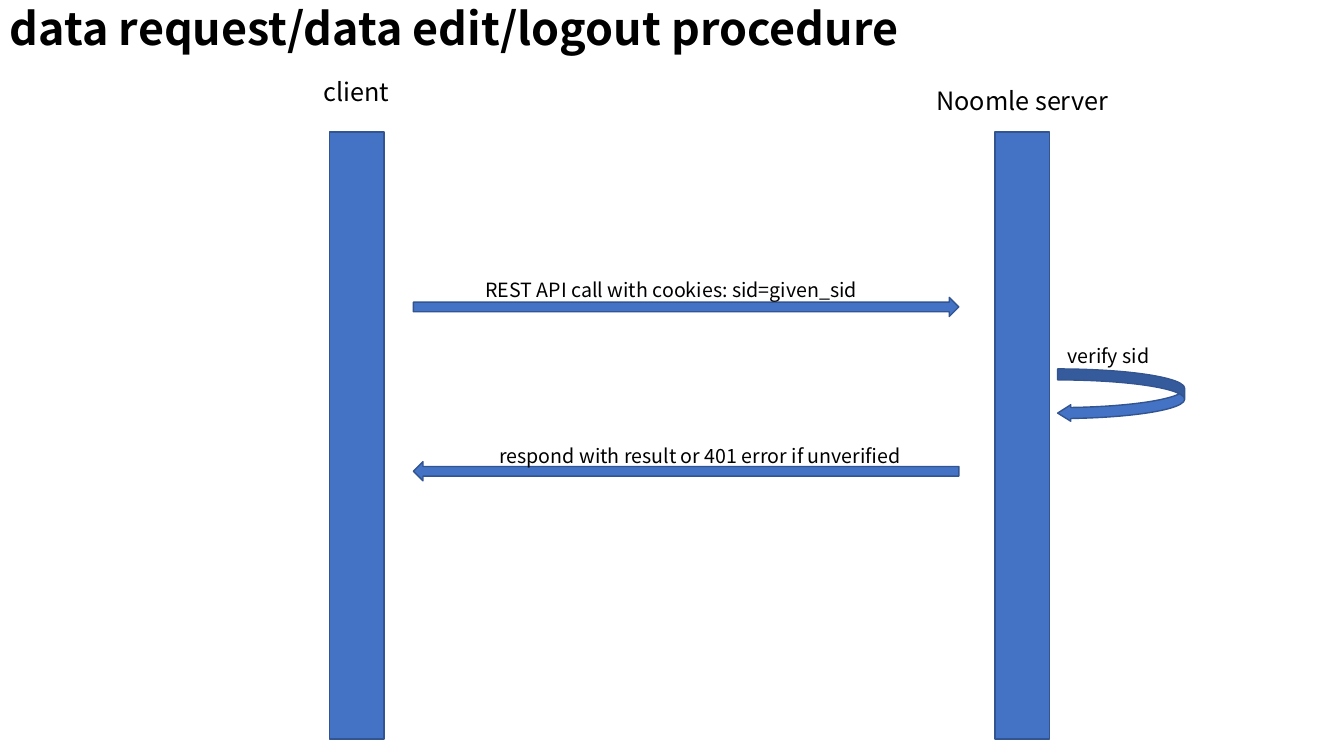
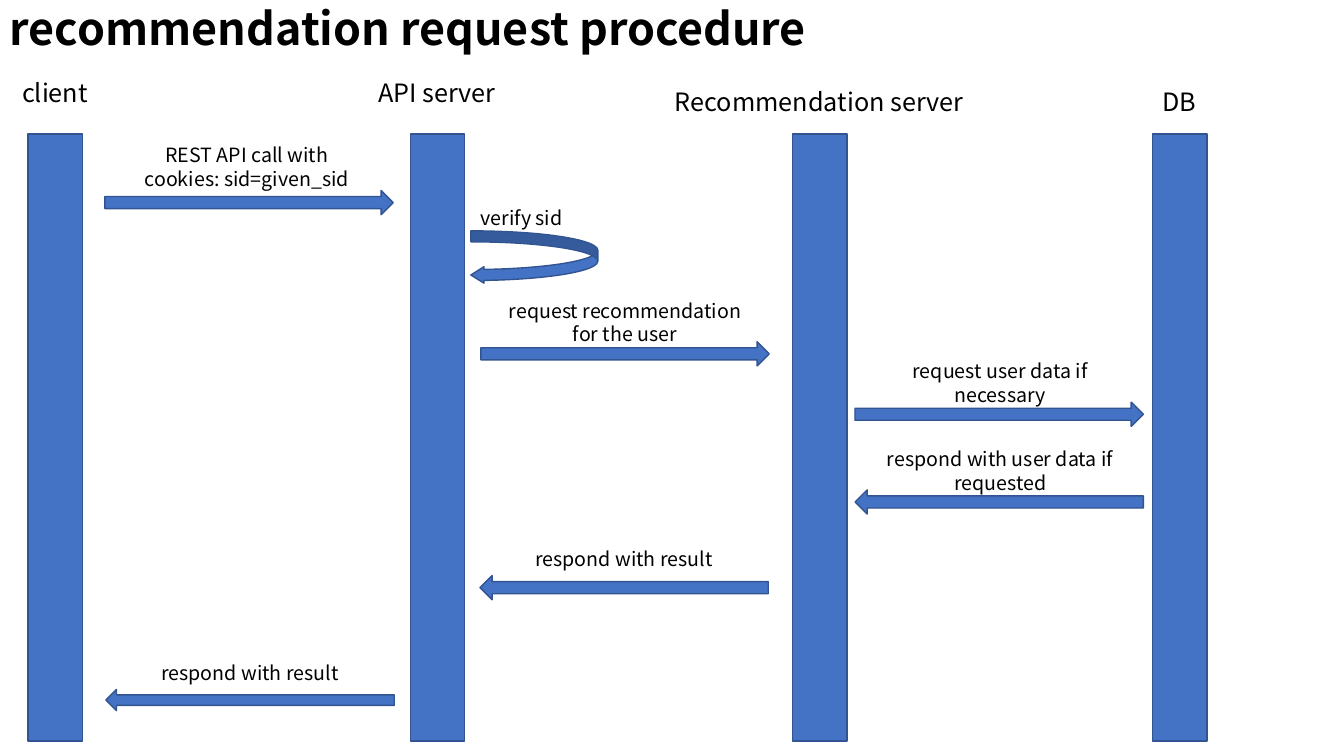
from pptx import Presentation
from pptx import util as u
from pptx.dml.color import RGBColor
from pptx.enum import shapes, text

PX = 9144
FONT = "Noto Sans CJK KR"
COLORS = {"fill": "4472C4", "line": "325491", "text": "000000"}
LEFT, CENTER = text.PP_ALIGN.LEFT, text.PP_ALIGN.CENTER
BAR_W, BAR_H = 54, 602
LOOP_W, LOOP_H = 126, 52
LOOP_ADJ = (0.21, 0.314, 0.25)

SLIDES = [
    {
        "title": ("data request/data edit/logout procedure", 964),
        "bar_top": 131,
        "actors": [
            ("client", 327, 70, 157),
            ("Noomle server", 987, 79, 206),
        ],
        "messages": [
            ("REST API call with cookies: sid=given_sid", (424, 271, 484, 34), (410, 295, 541, 19), 0),
            ("respond with result or 401 error if unverified", (424, 435, 541, 34), (410, 458, 541, 19), 180),
        ],
        "loop": (1049, 366),
    },
    {
        "title": ("recommendation request procedure", 949),
        "bar_top": 133,
        "actors": [
            ("client", 28, 71, 157),
            ("API server", 407, 71, 157),
            ("Recommendation server", 786, 80, 311),
            ("DB", 1143, 80, 311),
        ],
        "messages": [
            ("REST API call with cookies: sid=given_sid", (117, 137, 256, 57), (104, 189, 286, 24), 0),
            ("request recommendation for the user", (492, 291, 256, 57), (477, 339, 286, 24), 0),
            ("request user data if necessary", (864, 351, 256, 57), (848, 399, 286, 24), 0),
            ("respond with user data if requested", (864, 438, 256, 57), (848, 486, 286, 24), 180),
            ("respond with result", (491, 537, 256, 34), (476, 571, 286, 24), 180),
            ("respond with result", (105, 650, 286, 34), (105, 684, 286, 21), 180),
        ],
        "loop": (467, 229),
    },
]


def add_block(s, kind, box, rotation=0):
    sp = s.shapes.add_shape(kind, *(v * PX for v in box))
    sp.shadow.inherit = False
    sp.fill.solid()
    sp.fill.fore_color.rgb = RGBColor.from_string(COLORS["fill"])
    sp.line.color.rgb = RGBColor.from_string(COLORS["line"])
    sp.line.width = u.Pt(1)
    sp.rotation = rotation
    return sp


def add_label(s, words, box, size, align=CENTER, bold=False):
    tf = s.shapes.add_textbox(*(v * PX for v in box)).text_frame
    tf.word_wrap = True
    tf.auto_size = text.MSO_AUTO_SIZE.SHAPE_TO_FIT_TEXT
    tf.text = words
    p = tf.paragraphs[0]
    p.alignment = align
    p.line_spacing = u.Pt(round(size * 1.22))
    r = p.runs[0]
    r.font.name = FONT
    r.font.size = u.Pt(size)
    r.font.bold = bold
    r.font.color.rgb = RGBColor.from_string(COLORS["text"])


prs = Presentation()
prs.slide_width = 1333 * PX
prs.slide_height = 750 * PX

for page in SLIDES:
    s = prs.slides.add_slide(prs.slide_layouts[6])
    title, title_w = page["title"]
    add_label(s, title, (0, -5, title_w, 64), 32, LEFT, True)

    for name, left, label_top, label_w in page["actors"]:
        add_block(s, shapes.MSO_SHAPE.RECTANGLE, (left, page["bar_top"], BAR_W, BAR_H))
        label_left = left + (BAR_W - label_w) // 2
        add_label(s, name, (label_left, label_top, label_w, 40), 18)

    for words, label_box, arrow_box, rotation in page["messages"]:
        add_block(s, shapes.MSO_SHAPE.RIGHT_ARROW, arrow_box, rotation)
        add_label(s, words, label_box, 14)

    left, top = page["loop"]
    loop = add_block(s, shapes.MSO_SHAPE.CURVED_LEFT_ARROW, (left, top, LOOP_W, LOOP_H))
    for i, value in enumerate(LOOP_ADJ):
        loop.adjustments[i] = value
    add_label(s, "verify sid", (left, top - 30, 247, 34), 14, LEFT)

prs.save("out.pptx")
